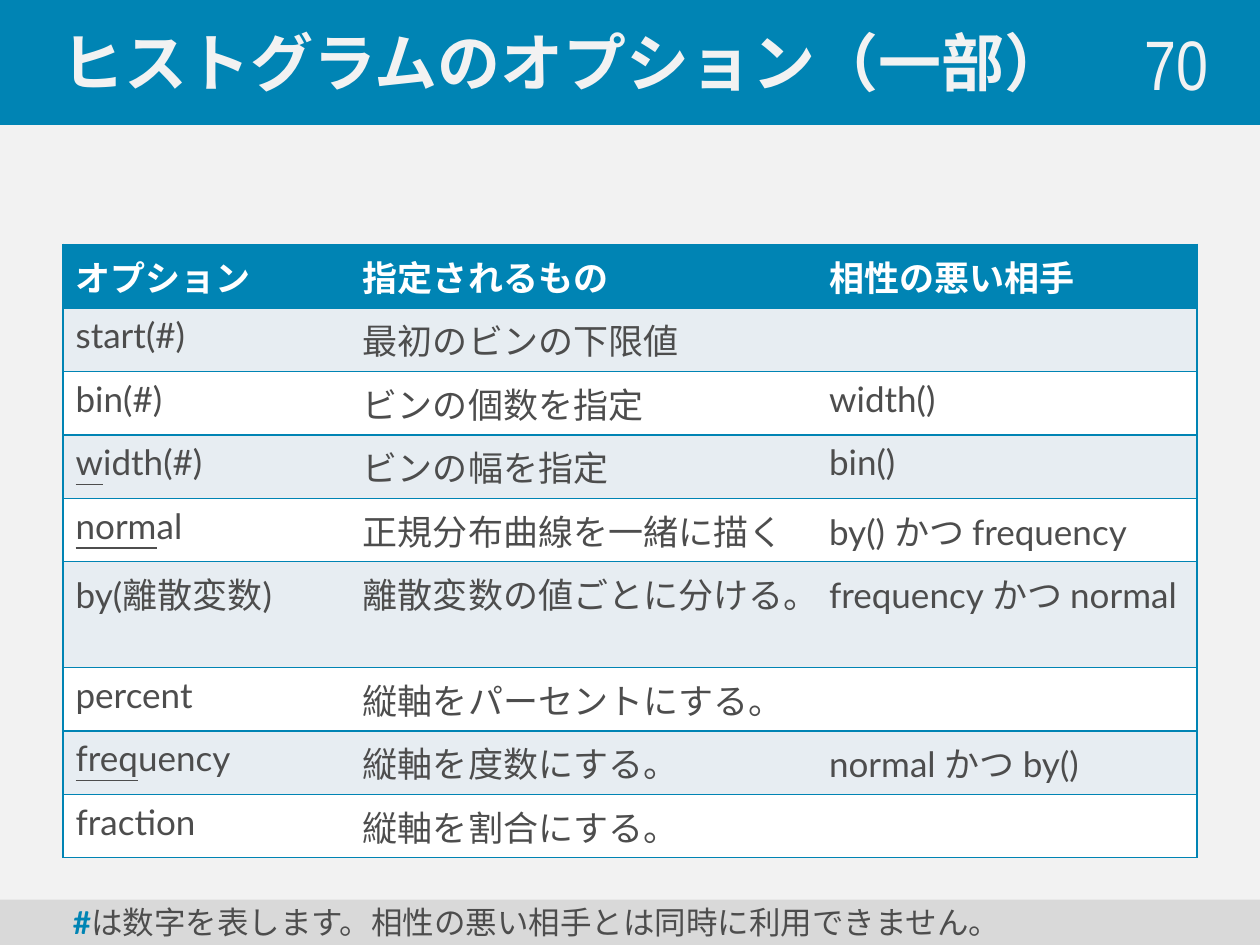
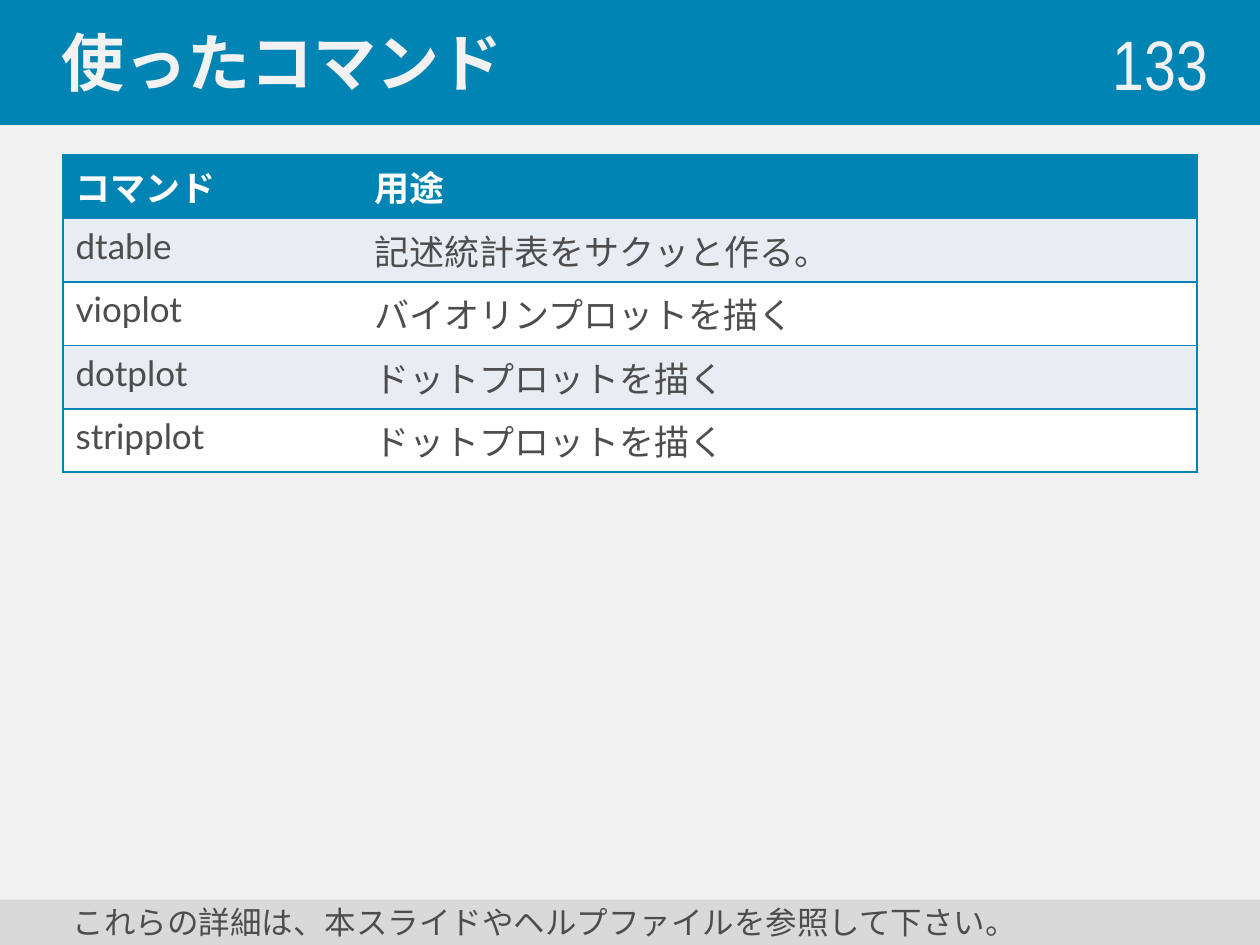
import pptx
import pptx.util
import pptx.dml.color
import pptx.enum.shapes
import pptx.enum.text
import pptx.oxml
import pptx.oxml.ns

Inches = pptx.util.Inches
Pt = pptx.util.Pt

COLORS = {
    "background": "F2F2F2",
    "accent": "0084B4",
    "text": "4D4D4D",
    "band": "E7EDF2",
    "white": "FFFFFF",
    "footer": "D9D9D9",
}
NO_STYLE = "{2D5ABB26-0587-4C30-8999-92F81FD0307C}"
HEADER_HEIGHT = 0.44
ROW_HEIGHT = 0.41

SLIDES = [
    {
        "title": "ヒストグラムのオプション（一部）",
        "number": "70",
        "table_top": 1.94,
        "columns": [2.28, 3.7, 3.02],
        "rows": [
            ("オプション", "指定されるもの", "相性の悪い相手"),
            ("start(#)", "最初のビンの下限値", ""),
            ("bin(#)", "ビンの個数を指定", "width()"),
            (("w", "idth(#)"), "ビンの幅を指定", "bin()"),
            (("norm", "al"), "正規分布曲線を一緒に描く", "by() かつ frequency"),
            ("by(離散変数)", "離散変数の値ごとに分ける。", "frequency かつ normal"),
            ("percent", "縦軸をパーセントにする。", ""),
            (("freq", "uency"), "縦軸を度数にする。", "normal かつ by()"),
            ("fraction", "縦軸を割合にする。", ""),
        ],
        "footer": ("#", "は数字を表します。相性の悪い相手とは同時に利用できません。"),
    },
    {
        "title": "使ったコマンド",
        "number": "133",
        "table_top": 1.23,
        "columns": [2.37, 6.63],
        "rows": [
            ("コマンド", "用途"),
            ("dtable", "記述統計表をサクッと作る。"),
            ("vioplot", "バイオリンプロットを描く"),
            ("dotplot", "ドットプロットを描く"),
            ("stripplot", "ドットプロットを描く"),
        ],
        "footer": ("", "これらの詳細は、本スライドやヘルプファイルを参照して下さい。"),
    },
]


def color(name):
    return pptx.dml.color.RGBColor.from_string(COLORS[name])


def paint(fill, name):
    fill.solid()
    fill.fore_color.rgb = color(name)


def set_font(paragraph, family, size, color_name, bold=False):
    font = paragraph.font
    font.name, font.size, font.bold = family, Pt(size), bold
    font.color.rgb = color(color_name)


def align_left(shape, indent):
    frame = shape.text_frame
    frame.word_wrap = True
    frame.auto_size = pptx.enum.text.MSO_AUTO_SIZE.NONE
    frame.vertical_anchor = pptx.enum.text.MSO_ANCHOR.MIDDLE
    paragraph = frame.paragraphs[0]
    paragraph.alignment = pptx.enum.text.PP_ALIGN.LEFT
    properties = paragraph._p.get_or_add_pPr()
    properties.set("marL", str(Inches(indent)))
    properties.set("indent", "0")
    return paragraph


def add_title(slide, text):
    title = slide.shapes.title
    title.left, title.top = Inches(0), Inches(0)
    title.width, title.height = Inches(10), Inches(0.98)
    paint(title.fill, "accent")
    title.line.color.rgb = color("accent")
    title.line.width = Pt(1.5)
    title.text_frame.text = text
    set_font(align_left(title, 0.39), "Roboto", 36, "background", True)


def add_number(slide, text):
    box = slide.shapes.add_textbox(Inches(7.76), Inches(0.19), Inches(1.93), Inches(0.61))
    frame = box.text_frame
    frame.word_wrap = True
    frame.vertical_anchor = pptx.enum.text.MSO_ANCHOR.MIDDLE
    paragraph = frame.paragraphs[0]
    paragraph.text = text
    paragraph.alignment = pptx.enum.text.PP_ALIGN.RIGHT
    set_font(paragraph, "Arial Narrow", 40, "background")


def add_footer(slide, marker, text):
    band = slide.shapes.add_shape(
        pptx.enum.shapes.MSO_SHAPE.RECTANGLE, Inches(0), Inches(7.14), Inches(10), Inches(0.36)
    )
    band.shadow.inherit = False
    band.line.fill.background()
    paint(band.fill, "footer")
    paragraph = align_left(band, 0.48)
    set_font(paragraph, "Lato", 18, "text")
    if marker:
        run = paragraph.add_run()
        run.text = marker
        run.font.bold = True
        run.font.color.rgb = color("accent")
    paragraph.add_run().text = text


def add_borders(cell, sides):
    properties = cell._tc.get_or_add_tcPr()
    for side in sides:
        properties.append(pptx.oxml.parse_xml(
            f'<a:ln{side} {pptx.oxml.ns.nsdecls("a")} w="{Pt(1)}"><a:solidFill>'
            f'<a:srgbClr val="{COLORS["accent"]}"/></a:solidFill></a:ln{side}>'
        ))


def fill_cell(cell, content, is_header):
    paragraph = cell.text_frame.paragraphs[0]
    set_font(paragraph, "Lato", 20, "white" if is_header else "text", is_header)
    if isinstance(content, tuple):
        abbreviation, rest = content
        run = paragraph.add_run()
        run.text = abbreviation
        run.font.underline = True
        paragraph.add_run().text = rest
    elif content:
        paragraph.add_run().text = content


def add_option_table(slide, top, columns, rows):
    height = HEADER_HEIGHT + ROW_HEIGHT * (len(rows) - 1)
    frame = slide.shapes.add_table(
        len(rows), len(columns), Inches(0.5), Inches(top), Inches(sum(columns)), Inches(height)
    )
    table = frame.table
    table._tbl.tblPr.find(pptx.oxml.ns.qn("a:tableStyleId")).text = NO_STYLE
    for column, width in zip(table.columns, columns):
        column.width = Inches(width)
    for row_index, row in enumerate(rows):
        is_header = row_index == 0
        table.rows[row_index].height = Inches(HEADER_HEIGHT if is_header else ROW_HEIGHT)
        background = "accent" if is_header else ("white", "band")[row_index % 2]
        for column_index, content in enumerate(row):
            cell = table.cell(row_index, column_index)
            left = "L" if column_index == 0 else ""
            right = "R" if column_index == len(row) - 1 else ""
            add_borders(cell, left + right + "TB")
            paint(cell.fill, background)
            fill_cell(cell, content, is_header)


def main():
    presentation = pptx.Presentation()
    presentation.slide_width, presentation.slide_height = Inches(10), Inches(7.5)
    for content in SLIDES:
        slide = presentation.slides.add_slide(presentation.slide_layouts[5])
        paint(slide.background.fill, "background")
        add_title(slide, content["title"])
        add_option_table(slide, content["table_top"], content["columns"], content["rows"])
        add_number(slide, content["number"])
        add_footer(slide, *content["footer"])
    presentation.save("out.pptx")


if __name__ == "__main__":
    main()
